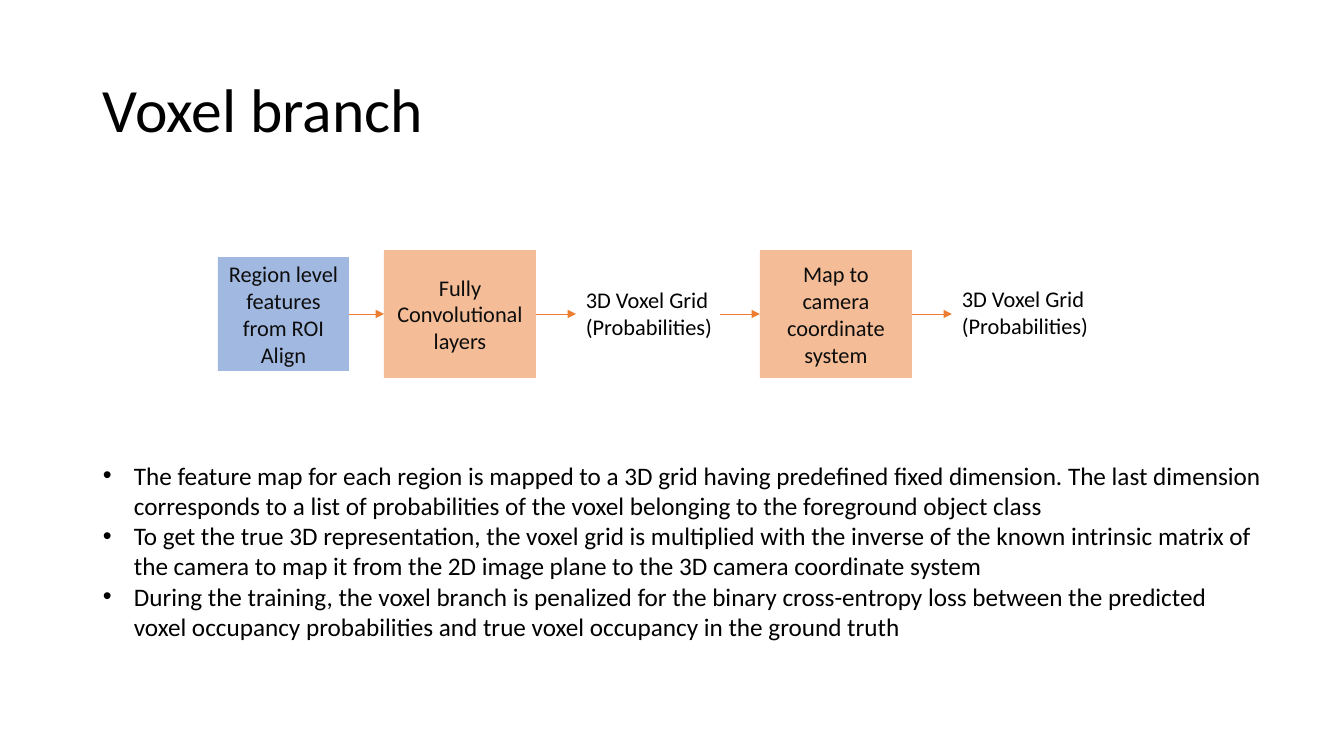
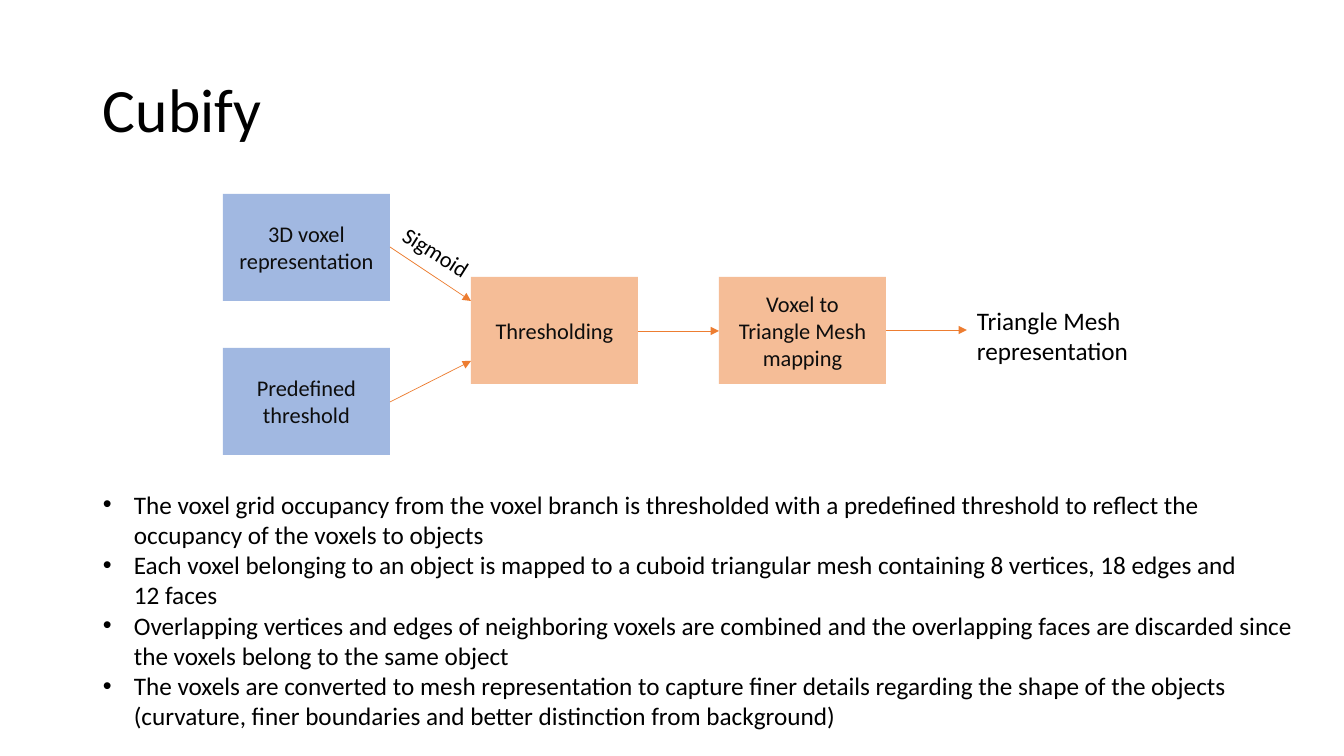
from pptx import Presentation
from pptx import util as u
from pptx.dml.color import RGBColor
from pptx.enum import shapes, text
from pptx.oxml import parse_xml
from pptx.oxml.ns import nsdecls, qn

PIXEL = 914400 / 100.8
FONT = "Calibri"
BLUE, ORANGE, INK, BLACK = "4472C4", "ED7D31", "0D0D0D", "000000"
BODY_INDENT = 31


def px(length):
    return u.Emu(round(length * PIXEL))


def color(code):
    return RGBColor.from_string(code)


def element(tag, attributes=""):
    return parse_xml(f"<a:{tag} {nsdecls('a')} {attributes}/>")


def write(frame, lines, size=16, ink=BLACK, align=None, anchor=text.MSO_ANCHOR.TOP,
          spacing=None, wrap=True, bullet=False):
    """Fill a text frame with one paragraph per line; \\v breaks a line."""
    frame.word_wrap = wrap
    frame.vertical_anchor = anchor
    for index, line in enumerate(lines):
        para = frame.add_paragraph() if index else frame.paragraphs[0]
        para.text = line
        para.alignment = align
        para.line_spacing = spacing
        for span in para.runs:
            span.font.name = FONT
            span.font.size = u.Pt(size)
            span.font.color.rgb = color(ink)
        if bullet:
            properties = para._p.get_or_add_pPr()
            properties.set("marL", str(px(BODY_INDENT)))
            properties.set("indent", str(px(-BODY_INDENT)))
            properties.append(element("buFont", 'typeface="Arial"'))
            properties.append(element("buChar", 'char="\u2022"'))


class Slides:
    def __init__(self):
        self.deck = Presentation()
        self.deck.slide_width, self.deck.slide_height = px(1344), px(756)
        self.page = None

    def start(self, title):
        self.page = self.deck.slides.add_slide(self.deck.slide_layouts[6])
        self.label(93, 40, 1159, 146, [title], size=44, spacing=0.9,
                   anchor=text.MSO_ANCHOR.MIDDLE)

    def label(self, left, top, width, height, lines, angle=0, **style):
        box = self.page.shapes.add_textbox(px(left), px(top), px(width), px(height))
        box.rotation = angle
        write(box.text_frame, lines, **style)

    def block(self, left, top, width, height, caption, fill):
        box = self.page.shapes.add_shape(shapes.MSO_SHAPE.RECTANGLE,
                                         px(left), px(top), px(width), px(height))
        box.shadow.inherit = False
        box.line.fill.background()
        box.fill.solid()
        box.fill.fore_color.rgb = color(fill)
        tint = box.element.spPr.find(qn("a:solidFill"))[0]
        tint.append(element("alpha", 'val="50000"'))
        write(box.text_frame, [caption], ink=INK, align=text.PP_ALIGN.CENTER,
              anchor=text.MSO_ANCHOR.MIDDLE)

    def arrow(self, x1, y1, x2, y2):
        line = self.page.shapes.add_connector(shapes.MSO_CONNECTOR.STRAIGHT,
                                              px(x1), px(y1), px(x2), px(y2))
        line.line.color.rgb = color(ORANGE)
        line.line.width = u.Pt(0.5)
        properties = line.element.spPr
        properties.find(qn("a:ln")).append(element("tailEnd", 'type="triangle"'))
        properties.append(element("effectLst"))

    def bullets(self, top, height, lines):
        self.label(93, top, 1232, height, lines, size=18, bullet=True)


slides = Slides()

# Voxel branch: a row of steps, the last two pairs on an equal pitch
slides.start("Voxel branch")
slides.block(218, 257, 131, 114, "Region level features from ROI Align", BLUE)
slides.arrow(349, 314, 384, 314)
STEP_PITCH = 376
for number, step in enumerate(["Fully Convolutional layers",
                               "Map to camera coordinate system"]):
    left = 384 + number * STEP_PITCH
    slides.block(left, 250, 152, 128, step, ORANGE)
    slides.arrow(left + 152, 314, left + 192, 314)
    slides.label(left + 192, 281 - number, 148, 65,
                 ["3D Voxel Grid", "(Probabilities)"], wrap=False)
slides.arrow(720, 314, 760, 314)
slides.bullets(455, 194, [
    "The feature map for each region is mapped to a 3D grid having predefined fixed "
    "dimension. The last dimension\vcorresponds to a list of probabilities of the voxel "
    "belonging to the foreground object class",
    "To get the true 3D representation, the voxel grid is multiplied with the inverse of "
    "the known intrinsic matrix of\vthe camera to map it from the 2D image plane to the "
    "3D camera coordinate system",
    "During the training, the voxel branch is penalized for the binary cross-entropy loss "
    "between the predicted\vvoxel occupancy probabilities and true voxel occupancy in the "
    "ground truth",
])

# Cubify: two inputs merge into a chain of equal blocks
slides.start("Cubify")
WIDTH, HEIGHT, GAP = 167, 107, 81
inputs, threshold, mapping = [223 + column * (WIDTH + GAP) for column in range(3)]
for left, top, caption, fill in [
    (inputs, 194, "3D voxel representation", BLUE),
    (inputs, 348, "Predefined threshold", BLUE),
    (threshold, 277, "Thresholding", ORANGE),
    (mapping, 277, "Voxel to Triangle Mesh mapping", ORANGE),
]:
    slides.block(left, top, WIDTH, HEIGHT, caption, fill)
for left, start, end in [(inputs, 247, 301), (inputs, 402, 361),
                         (threshold, 331, 331), (mapping, 330, 330)]:
    slides.arrow(left + WIDTH, start, left + WIDTH + GAP, end)
slides.label(967, 300, 179, 70, ["Triangle Mesh", "representation"], size=18, wrap=False)
slides.bullets(484, 254, [
    "The voxel grid occupancy from the voxel branch is thresholded with a predefined "
    "threshold to reflect the\voccupancy of the voxels to objects",
    "Each voxel belonging to an object is mapped to a cuboid triangular mesh containing "
    "8 vertices, 18 edges and\v12 faces",
    "Overlapping vertices and edges of neighboring voxels are combined and the overlapping "
    "faces are discarded since\vthe voxels belong to the same object",
    "The voxels are converted to mesh representation to capture finer details regarding "
    "the shape of the objects\v(curvature, finer boundaries and better distinction from "
    "background)",
])
slides.label(390, 234, 94, 37, ["Sigmoid"], angle=32.3, wrap=False)

slides.deck.save("out.pptx")
